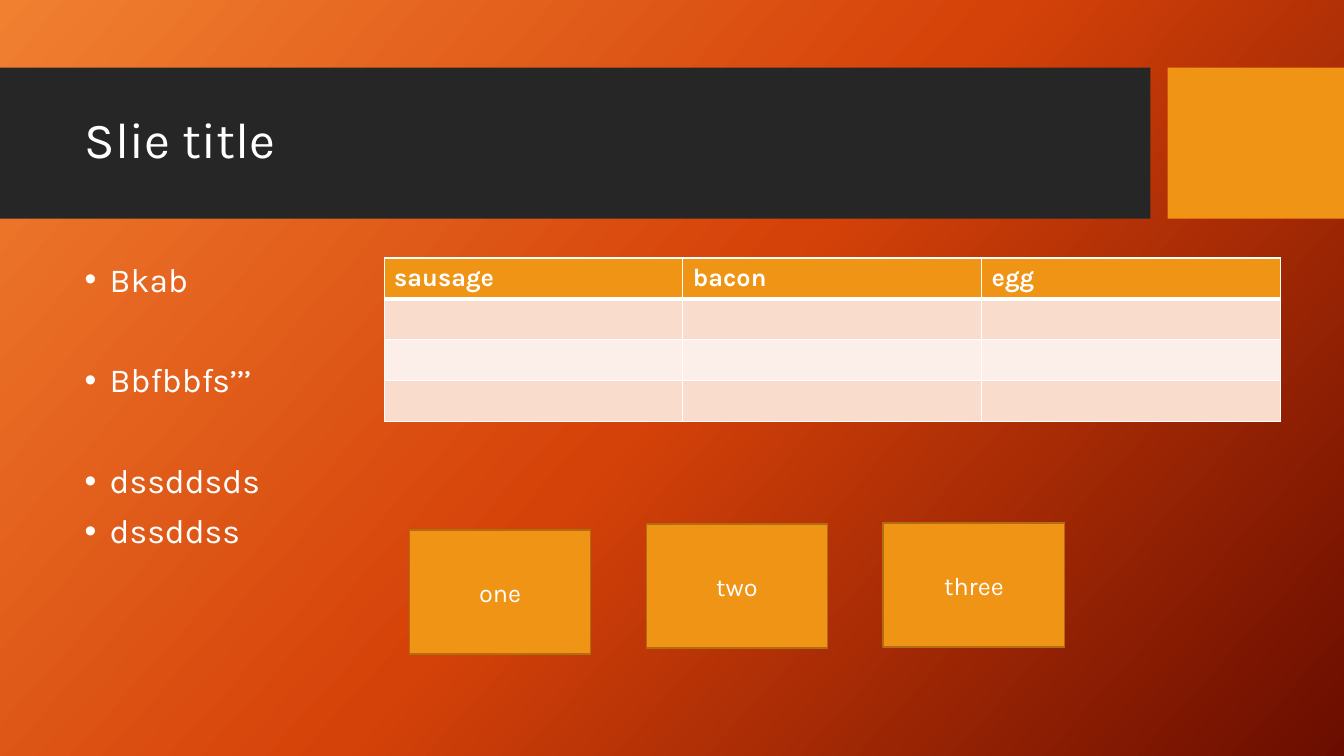
from copy import deepcopy
from dataclasses import dataclass

from lxml.etree import SubElement
from pptx import Presentation
from pptx.dml.color import RGBColor
from pptx.enum.shapes import MSO_SHAPE
from pptx.enum.text import MSO_ANCHOR, PP_ALIGN
from pptx.oxml import parse_xml
from pptx.oxml.ns import nsdecls, qn
from pptx.util import Inches, Pt


@dataclass(frozen=True)
class Theme:
    font: str = "Karla"
    white: str = "FFFFFF"
    dark: str = "262626"
    accent: str = "F09415"
    edge: str = "B26D10"
    bands: tuple = ("F9DCCC", "FCEEE8")
    backdrop: tuple = ("F18031", "D54209", "6A0D00")
    title: int = 36
    body: int = 24
    label: int = 18


T = Theme()


def rgb(value):
    return RGBColor.from_string(value)


def style(p, size, bold=False):
    for r in p.runs:
        r.font.name = T.font
        r.font.size = Pt(size)
        r.font.bold = bold
        r.font.color.rgb = rgb(T.white)


def add_rect(s, box, fill, line=None):
    sp = s.shapes.add_shape(MSO_SHAPE.RECTANGLE, *map(Inches, box))
    sp.shadow.inherit = False
    sp.fill.solid()
    sp.fill.fore_color.rgb = rgb(fill)
    if line:
        sp.line.color.rgb = rgb(line)
        sp.line.width = Pt(1)
    else:
        sp.line.fill.background()
    return sp


def paint_background(s):
    fill = s.background.fill
    fill.gradient()
    fill.gradient_angle = 318
    stops = s.element.find(".//" + qn("a:gsLst"))
    stops.insert(1, deepcopy(stops[0]))
    for i, (stop, color) in enumerate(zip(fill.gradient_stops, T.backdrop)):
        stop.position = i / 2
        stop.color.rgb = rgb(color)


def add_header(s, box, text):
    x, y, w, h = box
    gap, tab = 0.17, 1.75
    add_rect(s, (x, y, w - tab - gap, h), T.dark)
    add_rect(s, (x + w - tab, y, tab, h), T.accent)
    title = s.shapes.title
    s.shapes.element.append(title.element)
    title.left, title.top = Inches(x + 0.74), Inches(y + 0.15)
    title.width, title.height = Inches(10.51), Inches(1.18)
    tf = title.text_frame
    tf.text = text
    tf.vertical_anchor = MSO_ANCHOR.MIDDLE
    p = tf.paragraphs[0]
    p.alignment = PP_ALIGN.LEFT
    p.line_spacing = 0.9
    style(p, T.title)


def add_bullets(s, box, items):
    tf = s.shapes.add_textbox(*map(Inches, box)).text_frame
    tf.word_wrap = True
    for i, (text, before) in enumerate(items):
        p = tf.add_paragraph() if i else tf.paragraphs[0]
        p.text = text
        p.line_spacing = 0.9
        p.space_before = Pt(before)
        style(p, T.body)
        pPr = p._p.get_or_add_pPr()
        pPr.set("marL", str(Inches(0.25)))
        pPr.set("indent", str(-Inches(0.25)))
        SubElement(pPr, qn("a:buFont")).set("typeface", "Arial")
        SubElement(pPr, qn("a:buChar")).set("char", "•")


def set_borders(cell, top, bottom):
    tcPr = cell._tc.get_or_add_tcPr()
    for i, (side, width) in enumerate(zip("LRTB", (1, 1, top, bottom))):
        tcPr.insert(i, parse_xml(
            f'<a:ln{side} {nsdecls("a")} w="{Pt(width)}"><a:solidFill>'
            f'<a:srgbClr val="{T.white}"/></a:solidFill></a:ln{side}>'))


def add_menu_table(s, box, heads, rows):
    table = s.shapes.add_table(rows, len(heads), *map(Inches, box)).table
    for col, head in enumerate(heads):
        table.cell(0, col).text = head
        style(table.cell(0, col).text_frame.paragraphs[0], T.label, bold=True)
        for row in range(rows):
            cell = table.cell(row, col)
            cell.fill.solid()
            color = T.bands[(row - 1) % 2] if row else T.accent
            cell.fill.fore_color.rgb = rgb(color)
            set_borders(cell, 3 if row == 1 else 1, 1 if row else 3)


def add_cards(s, box, cards):
    x, y, w, h = box
    card_w = 1.8
    step = (w - card_w) / (len(cards) - 1)
    for i, (text, drop) in enumerate(cards):
        sp = add_rect(s, (x + i * step, y + drop, card_w, h), T.accent, T.edge)
        tf = sp.text_frame
        tf.text = text
        tf.vertical_anchor = MSO_ANCHOR.MIDDLE
        tf.paragraphs[0].alignment = PP_ALIGN.CENTER
        style(tf.paragraphs[0], T.label)


def main():
    prs = Presentation()
    prs.slide_width, prs.slide_height = Inches(13.33), Inches(7.5)
    s = prs.slides.add_slide(prs.slide_layouts[5])
    paint_background(s)
    add_header(s, (0, 0.67, 13.33, 1.5), "Slie title")
    add_bullets(s, (0.74, 2.56, 4.36, 3.94),
                [("Bkab", 10), ("Bbfbbfs’’’", 46), ("dssddsds", 46), ("dssddss", 10)])
    add_menu_table(s, (3.81, 2.56, 8.89, 1.62), ("sausage", "bacon", "egg"), 4)
    add_cards(s, (4.06, 5.19, 6.5, 1.23),
              [("one", 0.07), ("two", 0.01), ("three", 0)])
    prs.save("out.pptx")


if __name__ == "__main__":
    main()
